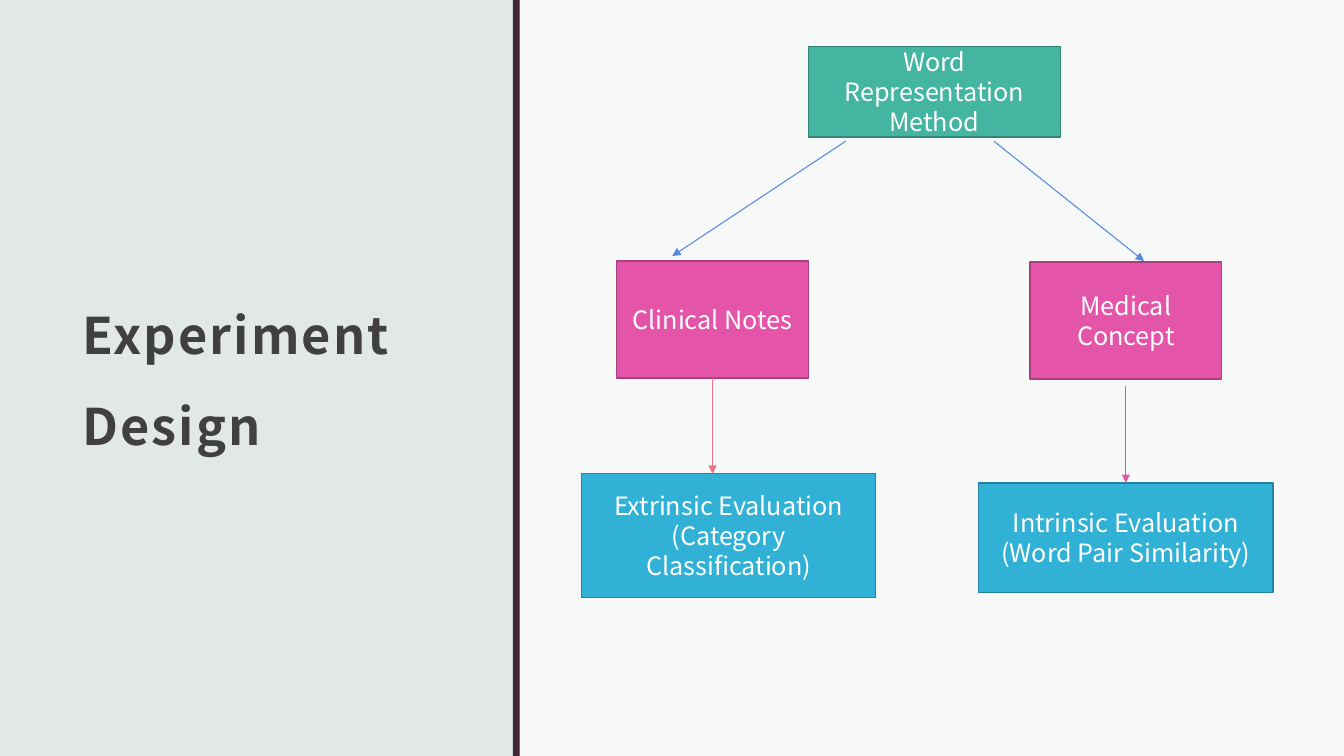
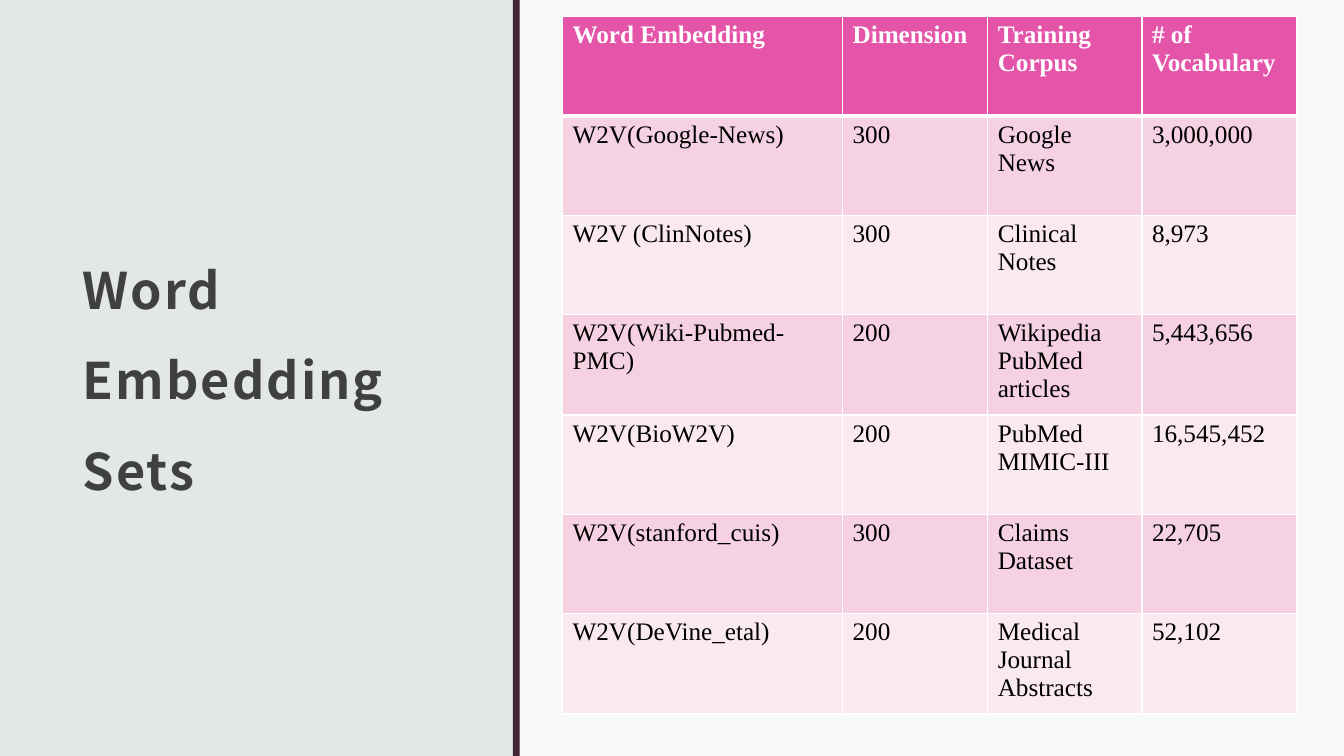
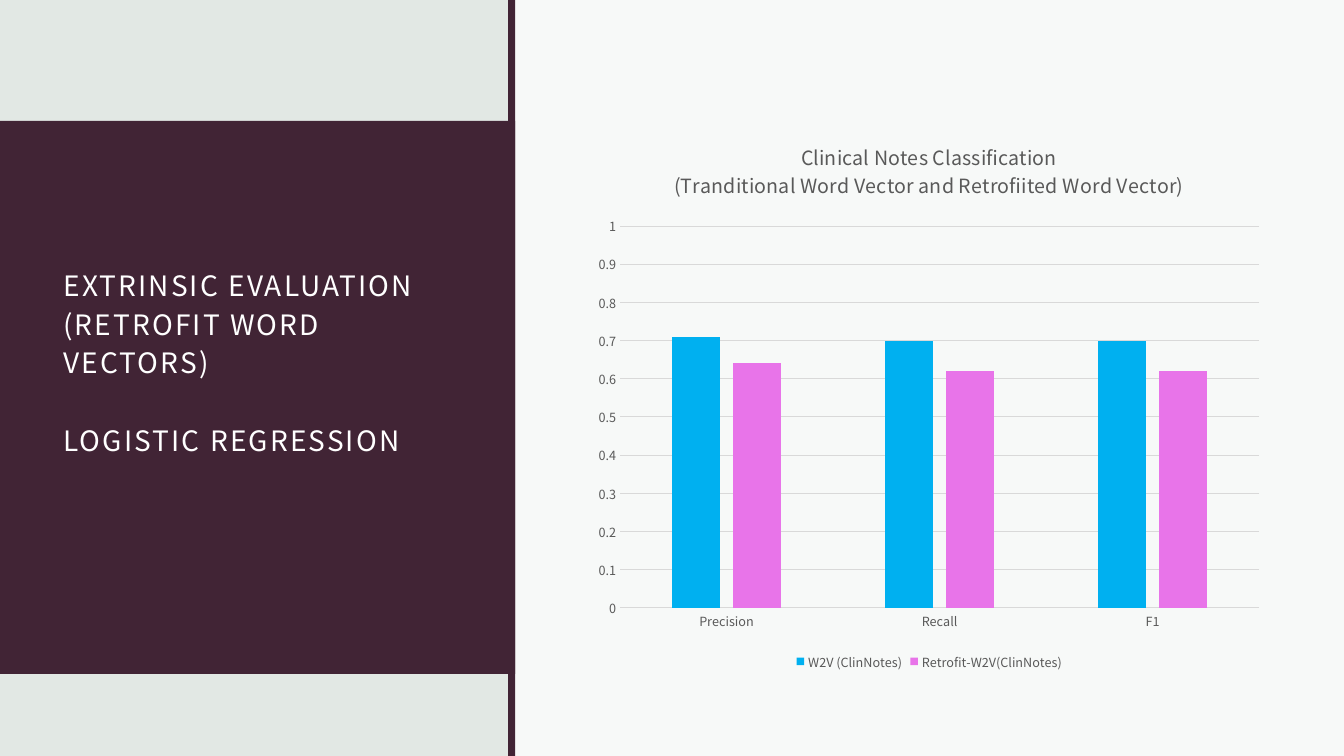
from lxml import etree
from pptx import Presentation
from pptx.chart.data import CategoryChartData
from pptx.dml.color import RGBColor
from pptx.enum.chart import XL_CHART_TYPE, XL_LEGEND_POSITION, XL_TICK_MARK
from pptx.enum.shapes import MSO_CONNECTOR, MSO_SHAPE
from pptx.enum.text import MSO_ANCHOR, PP_ALIGN
from pptx.oxml.ns import qn
from pptx.util import Pt

RECT = MSO_SHAPE.RECTANGLE
LINE = MSO_CONNECTOR.STRAIGHT
MIDDLE, BOTTOM = MSO_ANCHOR.MIDDLE, MSO_ANCHOR.BOTTOM
LEFT, CENTER = PP_ALIGN.LEFT, PP_ALIGN.CENTER
COLUMNS = XL_CHART_TYPE.COLUMN_CLUSTERED
BELOW = XL_LEGEND_POSITION.BOTTOM
NO_TICK = XL_TICK_MARK.NONE
SANS, SERIF = "Noto Sans CJK JP", "Times New Roman"
WIDE, HIGH = 960, 540

COLORS = {
    "back": "E2E8E4", "white": "FFFFFF", "black": "000000",
    "plum": "412435", "dark": "404040", "gray": "595959", "rule": "D9D9D9",
    "pink": "E455A9", "pink edge": "A93F7D",
    "blue": "32B1D7", "blue edge": "25839F",
    "green": "43B5A0", "green edge": "328676",
    "azure": "5587E4", "rose": "E97488",
    "odd": "F5D1E2", "even": "FAE9F1",
    "sky": "00B0F0", "orchid": "E874E9",
}


def color(name):
    return RGBColor.from_string(COLORS[name])


class Deck:
    def __init__(self):
        self.prs = Presentation()
        self.prs.slide_width, self.prs.slide_height = Pt(WIDE), Pt(HIGH)
        fill = self.prs.slide_master.background.fill
        fill.solid()
        fill.fore_color.rgb = color("back")
        self.slide = None

    def start(self, edge):
        self.slide = self.prs.slides.add_slide(self.prs.slide_layouts[6])
        panel = self.rect(edge, 0, WIDE - edge, HIGH, "white")
        tint = panel.fill._xPr.find(".//" + qn("a:srgbClr"))
        etree.SubElement(tint, qn("a:alpha")).set("val", "75000")
        self.rect(edge - 5, 0, 5, HIGH, "plum")

    def rect(self, x, y, w, h, fill, edge=None):
        shape = self.slide.shapes.add_shape(RECT, Pt(x), Pt(y), Pt(w), Pt(h))
        shape.shadow.inherit = False
        shape.fill.solid()
        shape.fill.fore_color.rgb = color(fill)
        if edge:
            shape.line.color.rgb = color(edge)
            shape.line.width = Pt(1)
        else:
            shape.line.fill.background()
        return shape

    def font(self, font, size, tint, bold=False, face=SANS):
        font.name, font.size, font.bold = face, Pt(size), bold
        font.color.rgb = color(tint)

    def text(self, frame, lines, size, tint, bold=False, face=SANS,
             align=LEFT, pitch=None, track=None, gap=0):
        frame.word_wrap = True
        for i, line in enumerate(lines):
            para = frame.add_paragraph() if i else frame.paragraphs[0]
            para.alignment = align
            if pitch:
                para.line_spacing = Pt(pitch)
            if i and gap and i == len(lines) - 1:
                para.space_before = Pt(gap)
            run = para.add_run()
            run.text = line
            self.font(run.font, size, tint, bold, face)
            if track:
                run.font._element.set("spc", str(track))

    def title(self, area, lines, size, tint, pitch, bold=False,
              anchor=MIDDLE, gap=0):
        frame = self.slide.shapes.add_textbox(*map(Pt, area)).text_frame
        frame.margin_left = frame.margin_right = frame.margin_top = Pt(8.64)
        frame.margin_bottom = Pt(7.2)
        frame.vertical_anchor = anchor
        self.text(frame, lines, size, tint, bold, pitch=pitch, track=150,
                  gap=gap)

    def head(self, *lines):
        self.title((50.4, 55.4, 268.6, 409), lines, 36, "dark", 64.5, True)

    def box(self, x, y, w, h, hue, *lines):
        shape = self.rect(x, y, w, h, hue, hue + " edge")
        shape.text_frame.vertical_anchor = MIDDLE
        self.text(shape.text_frame, lines, 18, "white", align=CENTER,
                  pitch=21.5)
        return shape

    def arrow(self, x1, y1, x2, y2, hue, tail=None, tip=None):
        link = self.slide.shapes.add_connector(
            LINE, Pt(x1), Pt(y1), Pt(x2), Pt(y2))
        if tail:
            link.begin_connect(tail, 2)
        if tip:
            link.end_connect(tip, 0)
        link.line.color.rgb = color(hue)
        link.line.width = Pt(0.75)
        end = etree.SubElement(link.line._get_or_add_ln(), qn("a:tailEnd"))
        end.set("type", "triangle")
        etree.SubElement(link._element.spPr, qn("a:effectLst"))

    def border(self, cell, top, low):
        props = cell._tc.get_or_add_tcPr()
        sides = (("L", 1), ("R", 1), ("T", top), ("B", low))
        for i, (side, width) in enumerate(sides):
            line = etree.Element(qn("a:ln" + side), w=str(int(Pt(width))))
            fill = etree.SubElement(line, qn("a:solidFill"))
            tint = etree.SubElement(fill, qn("a:srgbClr"))
            tint.set("val", COLORS["white"])
            props.insert(i, line)

    def table(self, x, y, widths, heights, rows):
        table = self.slide.shapes.add_table(
            len(rows), len(widths), Pt(x), Pt(y),
            Pt(sum(widths)), Pt(sum(heights))).table
        for col, width in zip(table.columns, widths):
            col.width = Pt(width)
        for r, row in enumerate(rows):
            table.rows[r].height = Pt(heights[r])
            hue = "odd" if r % 2 else "even"
            for c, text in enumerate(row):
                cell = table.cell(r, c)
                cell.fill.solid()
                cell.fill.fore_color.rgb = color(hue if r else "pink")
                self.text(cell.text_frame, text.split("\n"), 18,
                          "black" if r else "white", not r, SERIF)
                self.border(cell, 3 if r == 1 else 1, 1 if r else 3)

    def chart(self, x, y, w, h, title, names, series, plot):
        data = CategoryChartData()
        data.categories = names
        for name, nums, hue in series:
            data.add_series(name, nums)
        chart = self.slide.shapes.add_chart(
            COLUMNS, Pt(x), Pt(y), Pt(w), Pt(h), data).chart
        self.font(chart.font, 10, "black")
        chart.has_title = True
        self.text(chart.chart_title.text_frame, title, 14, "gray",
                  align=CENTER)
        chart.chart_title.include_in_layout = False
        chart.has_legend = True
        chart.legend.position = BELOW
        chart.legend.include_in_layout = False
        self.font(chart.legend.font, 9, "gray")
        bars = chart.plots[0]
        bars.gap_width, bars.overlap = 219, -27
        bars.vary_by_categories = False
        for item, (name, nums, hue) in zip(bars.series, series):
            item.format.fill.solid()
            item.format.fill.fore_color.rgb = color(hue)
        for axis in (chart.category_axis, chart.value_axis):
            axis.major_tick_mark = axis.minor_tick_mark = NO_TICK
            self.font(axis.tick_labels.font, 9, "gray")
        scale = chart.value_axis
        scale.minimum_scale, scale.maximum_scale = 0, 1
        scale.major_unit = 0.1
        scale.format.line.fill.background()
        for part in (chart.category_axis, scale.major_gridlines):
            part.format.line.color.rgb = color("rule")
            part.format.line.width = Pt(0.75)
        self.place(chart, plot)

    def place(self, chart, plot):
        area = chart._chartSpace.find(".//" + qn("c:plotArea"))
        for old in area.findall(qn("c:layout")):
            area.remove(old)
        layout = etree.Element(qn("c:layout"))
        area.insert(0, layout)
        manual = etree.SubElement(layout, qn("c:manualLayout"))
        pairs = [("layoutTarget", "inner"), ("xMode", "edge"),
                 ("yMode", "edge"), *zip("xywh", plot)]
        for tag, value in pairs:
            node = etree.SubElement(manual, qn("c:" + tag))
            node.set("val", str(value))


def design(deck):
    deck.start(371.3)
    deck.head("Experiment Design")
    notes = deck.box(440.6, 186.5, 136.8, 83.5, "pink", "Clinical Notes")
    deck.box(735.8, 187.2, 136.8, 83.5, "pink", "Medical Concept")
    deck.box(415.4, 338.4, 210.2, 88.6, "blue",
             "Extrinsic Evaluation", "(Category Classification)")
    pairs = deck.box(699.1, 344.9, 210.2, 78.5, "blue",
                     "Intrinsic Evaluation", "(Word Pair Similarity)")
    deck.box(577.4, 33.1, 180, 64.8, "green", "Word Representation Method")
    deck.arrow(604.1, 100.8, 480.2, 182.9, "azure")
    deck.arrow(709.9, 100.8, 817.2, 186.5, "azure")
    deck.arrow(509, 270, 509, 338.4, "rose", tail=notes)
    deck.arrow(804.2, 276, 804.2, 344.9, "pink", tip=pairs)


def sets(deck):
    deck.start(371.3)
    deck.head("Word Embedding", "Sets")
    rows = [
        ("Word Embedding", "Dimension", "Training Corpus", "# of Vocabulary"),
        ("W2V(Google-News)", "300", "Google News", "3,000,000"),
        ("W2V (ClinNotes)", "300", "Clinical Notes", "8,973"),
        ("W2V(Wiki-Pubmed-PMC)", "200", "Wikipedia\nPubMed articles",
         "5,443,656"),
        ("W2V(BioW2V)", "200", "PubMed\nMIMIC-III", "16,545,452"),
        ("W2V(stanford_cuis)", "300", "Claims Dataset", "22,705"),
        ("W2V(DeVine_etal)", "200", "Medical Journal Abstracts", "52,102"),
    ]
    deck.table(401.8, 11.5, (200, 103.7, 110.2, 110.2),
               [71.4] + [70.8] * 6, rows)


def scores(deck):
    deck.start(368)
    deck.rect(0, 86.4, 368, 395, "plum")
    deck.title((36.7, 134.6, 296, 199.4),
               ("EXTRINSIC EVALUATION", "(RETROFIT WORD VECTORS)",
                "LOGISTIC REGRESSION"),
               20, "white", 27.8, anchor=BOTTOM, gap=27.8)
    deck.chart(418.3, 86.4, 491, 395.3,
               ("Clinical Notes Classification",
                "(Tranditional Word Vector and Retrofiited Word Vector)"),
               ("Precision", "Recall", "F1"),
               (("W2V (ClinNotes)", (0.71, 0.7, 0.7), "sky"),
                ("Retrofit-W2V(ClinNotes)", (0.64, 0.62, 0.62), "orchid")),
               (0.05, 0.19, 0.93, 0.69))


def main():
    deck = Deck()
    for build in (design, sets, scores):
        build(deck)
    deck.prs.save("out.pptx")


if __name__ == "__main__":
    main()
